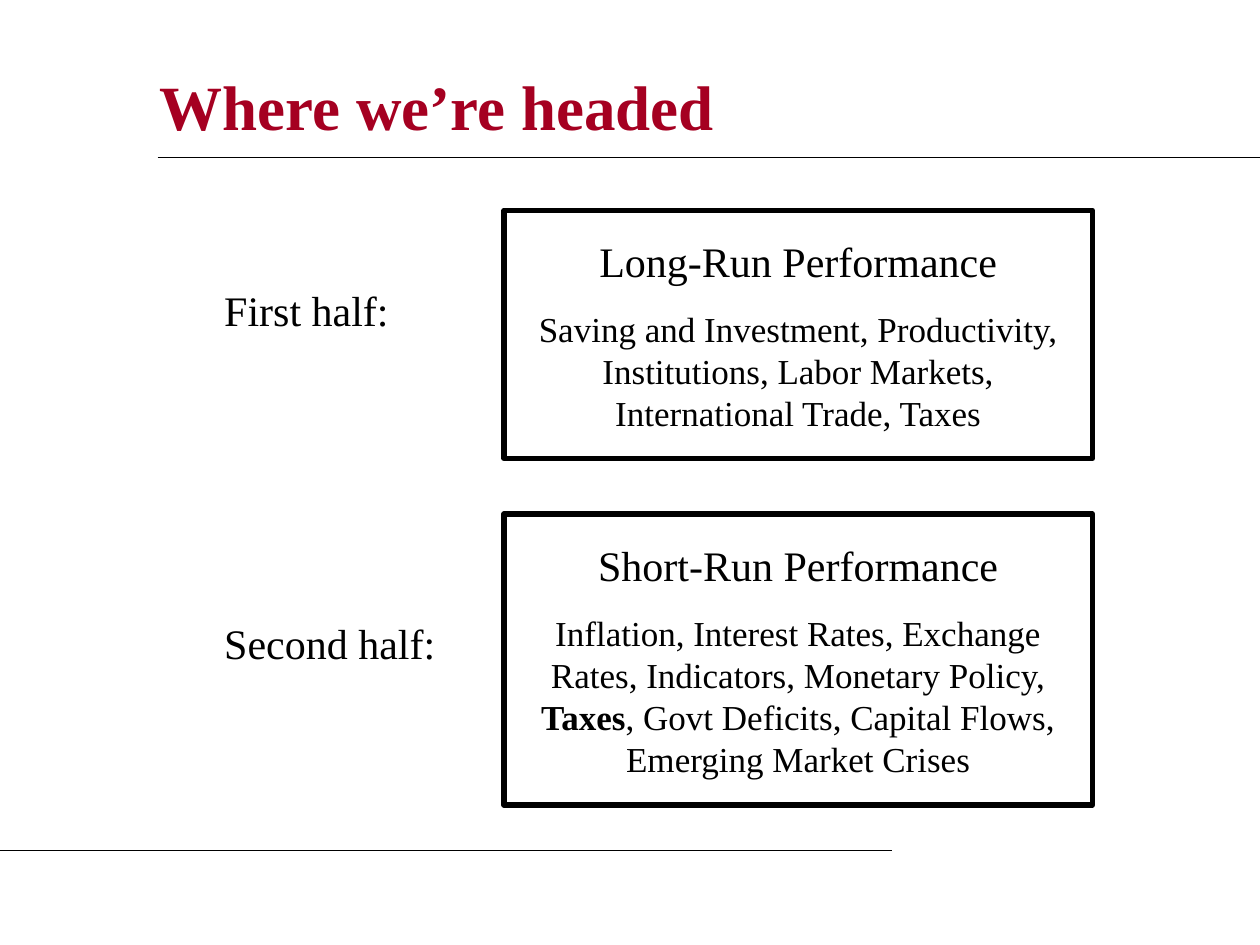
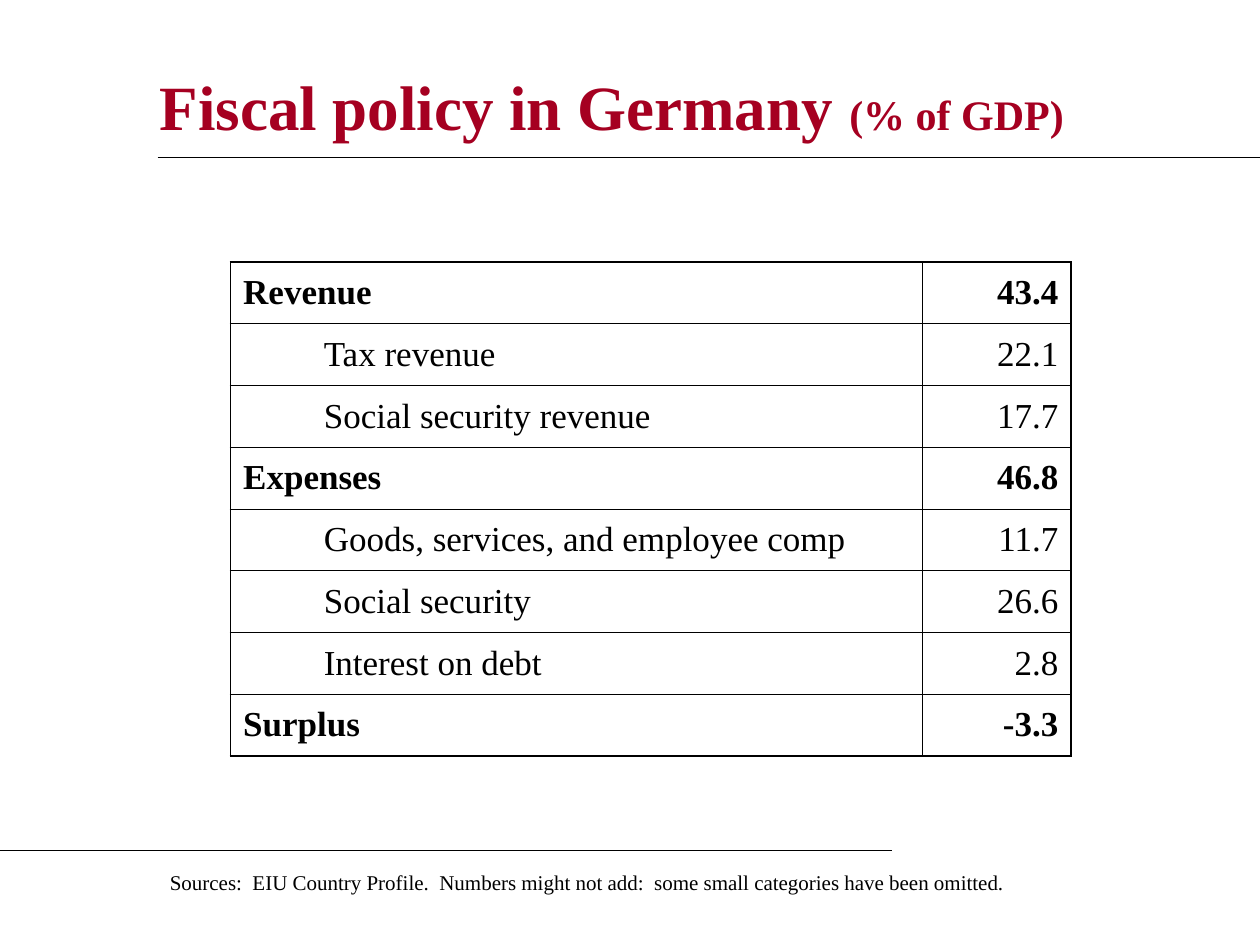
from dataclasses import dataclass
from lxml.etree import SubElement
from pptx import Presentation
from pptx.dml.color import RGBColor as RGB
from pptx.enum.shapes import MSO_CONNECTOR as Link, MSO_SHAPE as Form
from pptx.enum.text import MSO_ANCHOR as Anchor, PP_ALIGN as Align
from pptx.oxml import parse_xml
from pptx.oxml.ns import nsdecls, qn
from pptx.util import Inches, Pt


@dataclass(frozen=True)
class Theme:
    font: str = "Times New Roman"
    red: RGB = RGB(0xA5, 0x00, 0x21)
    black: RGB = RGB(0, 0, 0)
    white: RGB = RGB(255, 255, 255)
    title: int = 36
    head: int = 24
    body: int = 20
    note: int = 12
    rule: float = 0.75
    frame: float = 3
    inner: float = 0.45
    outer: float = 1.08


theme = Theme()


def write(para, text, size, bold=False, color=theme.black):
    run = para.add_run()
    run.text = text
    font = run.font
    font.name, font.size, font.bold = theme.font, Pt(size), bold
    font.color.rgb = color


def pad(frame, side, top, anchor=Anchor.TOP):
    """Set wrapping, margins in inches and anchor of a text frame."""
    frame.word_wrap = True
    frame.margin_left = frame.margin_right = Inches(side)
    frame.margin_top = frame.margin_bottom = Inches(top)
    frame.vertical_anchor = anchor
    return frame.paragraphs[0]


deck = Presentation()
deck.slide_width, deck.slide_height = Inches(10), Inches(7.5)

# Shared title and rules
titles = [
    (8.08, [("Where we’re headed", theme.title)]),
    (8.5, [("Fiscal policy in Germany ", theme.title), ("(% of GDP)", theme.head)]),
]
rules = [(1.25, 10, 1.25), (0, 7.08, 6.75)]
for width, parts in titles:
    slide = deck.slides.add_slide(deck.slide_layouts[6])
    slide.background.fill.solid()
    slide.background.fill.fore_color.rgb = theme.white
    box = slide.shapes.add_textbox(Inches(1.17), Inches(0.42), Inches(width), Inches(0.83))
    para = pad(box.text_frame, 0.1, 0.05, Anchor.MIDDLE)
    for text, size in parts:
        write(para, text, size, True, theme.red)
    for start, end, y in rules:
        line = slide.shapes.add_connector(
            Link.STRAIGHT, Inches(start), Inches(y), Inches(end), Inches(y))
        line.line.color.rgb = theme.black
        line.line.width = Pt(theme.rule)
        SubElement(line._element.spPr, qn("a:effectLst"))

plan, fiscal = deck.slides

# Course halves: a label beside a framed topic list
halves = [
    ("First half:", 2.33, 0.6, 0.5, 1.67, 1.97, "Long-Run Performance",
     [("Saving and Investment, Productivity, Institutions, Labor Markets, "
       "International Trade, Taxes", False)]),
    ("Second half:", 4.7, 0.8, 1.0, 4.08, 2.31, "Short-Run Performance",
     [("Inflation, Interest Rates, Exchange Rates, Indicators, Monetary Policy, ", False),
      ("Taxes", True),
      (", Govt Deficits, Capital Flows, Emerging Market Crises", False)]),
]
for label, y, high, space, top, tall, head, topics in halves:
    card = plan.shapes.add_shape(
        Form.RECTANGLE, Inches(4), Inches(top), Inches(4.67), Inches(tall))
    card.shadow.inherit = False
    card.fill.background()
    card.line.color.rgb = theme.black
    card.line.width = Pt(theme.frame)
    para = pad(card.text_frame, 0.2, 0.2)
    para.alignment = Align.CENTER
    write(para, head, theme.head)
    para = card.text_frame.add_paragraph()
    para.alignment = Align.CENTER
    para.space_before = Pt(12.5)
    for text, bold in topics:
        write(para, text, theme.body, bold)

    box = plan.shapes.add_textbox(Inches(1.58), Inches(y), Inches(2.33), Inches(high))
    para = pad(box.text_frame, 0.2, 0.2)
    para.line_spacing = space
    write(para, label, theme.head)

# Source note
box = fiscal.shapes.add_textbox(Inches(1.25), Inches(6.85), Inches(7.17), Inches(0.3))
write(pad(box.text_frame, 0.1, 0.05),
      "Sources:  EIU Country Profile.  Numbers might not add:  "
      "some small categories have been omitted.", theme.note)

# Budget table: totals span the indent column
budget = [
    ("Revenue", "43.4", True),
    ("Tax revenue", "22.1", False),
    ("Social security revenue", "17.7", False),
    ("Expenses", "46.8", True),
    ("Goods, services, and employee comp", "11.7", False),
    ("Social security", "26.6", False),
    ("Interest on debt", "2.8", False),
    ("Surplus", "-3.3", True),
]
last = len(budget) - 1
table = fiscal.shapes.add_table(
    len(budget), 3, Inches(1.83), Inches(2.08), Inches(6.67), Inches(3.92)).table
table.first_row = table.horz_banding = False
for col, width in zip(table.columns, (0.64, 4.85, 1.18)):
    col.width = Inches(width)

for row, (name, value, total) in enumerate(budget):
    table.rows[row].height = Inches(0.49)
    cells = [table.cell(row, col) for col in range(3)]
    if total:
        cells[0].merge(cells[1])
    for col, cell in enumerate(cells):
        cell.fill.background()
        cell.vertical_anchor = Anchor.MIDDLE
        edges = {
            "lnL": (theme.outer, 0, theme.inner)[col],
            "lnR": (theme.inner if total else 0, theme.inner, theme.outer)[col],
            "lnT": theme.outer if row == 0 else theme.inner,
            "lnB": theme.outer if row == last else theme.inner,
        }
        props = cell._tc.get_or_add_tcPr()
        for spot, (tag, width) in enumerate(edges.items()):
            paint = (f'<a:solidFill><a:srgbClr val="{theme.black}"/></a:solidFill>'
                     if width else "<a:noFill/>")
            props.insert(spot, parse_xml(
                f'<a:{tag} {nsdecls("a")} w="{Pt(width)}">{paint}</a:{tag}>'))
    write(cells[0 if total else 1].text_frame.paragraphs[0], name, theme.body, total)
    para = cells[2].text_frame.paragraphs[0]
    para.alignment = Align.RIGHT
    write(para, value, theme.body, total)

deck.save("out.pptx")
